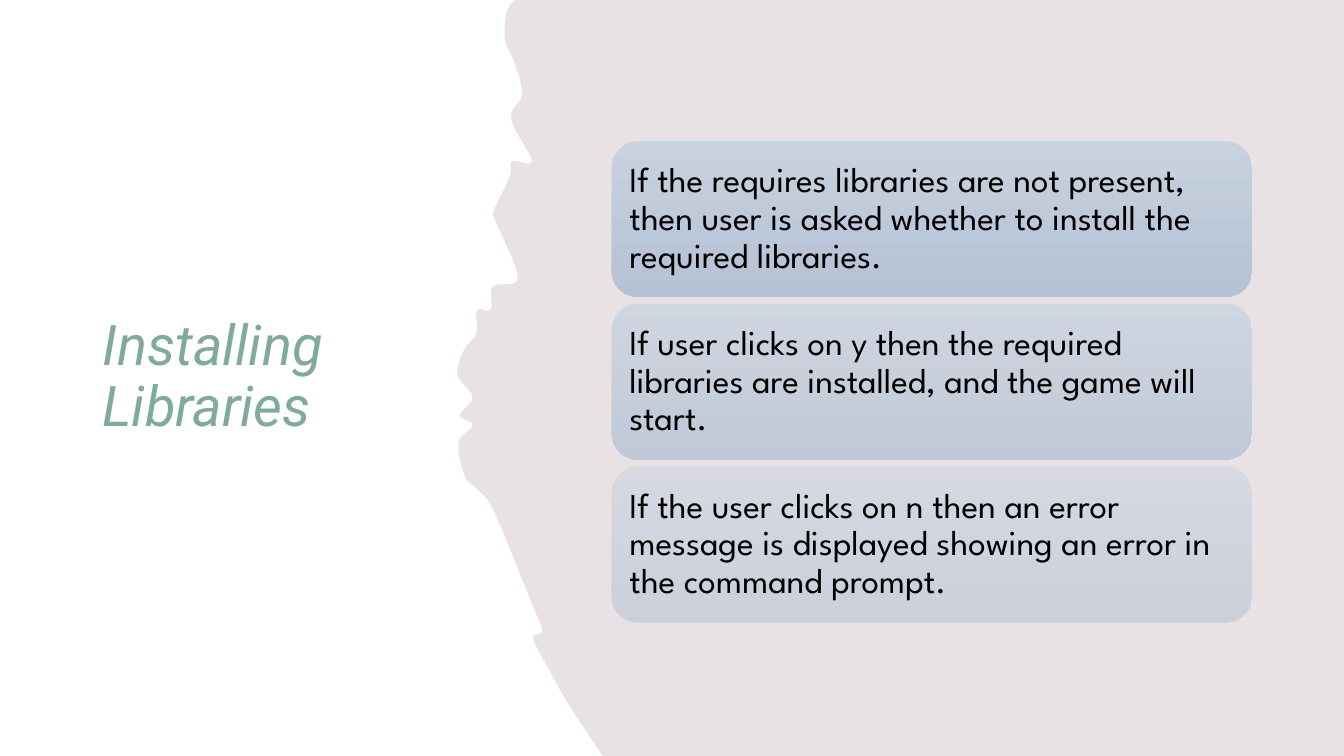
from dataclasses import dataclass

from lxml.etree import SubElement
from pptx import Presentation
from pptx.dml.color import RGBColor
from pptx.enum.shapes import MSO_SHAPE
from pptx.enum.text import MSO_ANCHOR, PP_ALIGN
from pptx.oxml.ns import qn
from pptx.util import Cm, Pt

WIDTH, HEIGHT = Cm(33.87), Cm(19.05)
SAND, SAGE, WHITE, BLACK = "E8E2E4", "80AA9E", "FFFFFF", "000000"

# Torn paper edge from bottom to top, in hundredths of an inch
EDGE = [
    (598, 750), (565, 700), (545, 665), (529, 633), (538, 626), (527, 597),
    (490, 507), (473, 485), (461, 472), (455, 439), (469, 422), (456, 412),
    (469, 394), (454, 372), (460, 348), (473, 330), (473, 308), (487, 307),
    (489, 284), (514, 276), (492, 220), (490, 209), (506, 175), (508, 160),
    (528, 160), (507, 118), (518, 93), (510, 61), (501, 39), (503, 11),
    (511, 0),
]


@dataclass
class Card:
    text: str
    alpha: int  # opacity in percent


CARDS = [
    Card("If the requires libraries are not present, then user is asked "
         "whether to install the required libraries.", 90),
    Card("If user clicks on y then the required libraries are installed, "
         "and the game will start.", 70),
    Card("If the user clicks on n then an error message is displayed "
         "showing an error in the command prompt.", 50),
]


def hue(code: str) -> RGBColor:
    return RGBColor.from_string(code)


def paint(shape, code: str) -> None:
    shape.shadow.inherit = False
    shape.fill.solid()
    shape.fill.fore_color.rgb = hue(code)
    shape.line.fill.background()


def write(shape, text: str, size: int, font: str, code: str,
          slant: bool = False) -> None:
    frame = shape.text_frame
    frame.word_wrap = True
    frame.vertical_anchor = MSO_ANCHOR.MIDDLE
    para = frame.paragraphs[0]
    para.alignment = PP_ALIGN.LEFT
    para.line_spacing = 0.9
    run = para.add_run()
    run.text = text
    run.font.size = Pt(size)
    run.font.name = font
    run.font.italic = slant
    run.font.color.rgb = hue(code)


def blend(a: float, b: float, c: float, d: float, t: float) -> float:
    """Value between b and c on a smooth curve through a, b, c and d."""
    bend = 2 * a - 5 * b + 4 * c - d
    twist = 3 * (b - c) + d - a
    return b + t * (c - a + t * (bend + t * twist)) / 2


def smooth(spots: list, steps: int = 5) -> list:
    ends = [spots[0], *spots, spots[-1]]
    curve = [tuple(blend(*axis, i / steps) for axis in zip(*four))
             for four in zip(ends, ends[1:], ends[2:], ends[3:])
             for i in range(steps)]
    return [(Cm(x * 0.0254), Cm(y * 0.0254)) for x, y in [*curve, spots[-1]]]


def add_edge(shapes) -> None:
    pen = shapes.build_freeform(WIDTH, HEIGHT)
    pen.add_line_segments([*smooth(EDGE), (WIDTH, 0)], close=True)
    paint(pen.convert_to_shape(), SAND)


def add_card(shapes, card: Card, row: int) -> None:
    box = shapes.add_shape(MSO_SHAPE.ROUNDED_RECTANGLE, Cm(15.42),
                           Cm(3.56 + 4.1 * row), Cm(16.13), Cm(3.92))
    box.shadow.inherit = False
    box.line.fill.background()
    box.fill.gradient()
    box.fill.gradient_angle = 270
    for stop, code in zip(box.fill.gradient_stops, ("C6D1DF", "AFBFD4")):
        stop.color.rgb = hue(code)
    for tint in box.element.spPr.iter(qn("a:srgbClr")):
        SubElement(tint, qn("a:alpha")).set("val", str(card.alpha * 1000))
    frame = box.text_frame
    frame.margin_left = frame.margin_right = Cm(0.25)
    frame.margin_top = frame.margin_bottom = Cm(0.25)
    write(box, card.text, 25, "League Spartan", BLACK)


def main() -> None:
    deck = Presentation()
    deck.slide_width, deck.slide_height = WIDTH, HEIGHT
    slide = deck.slides.add_slide(deck.slide_layouts[6])
    shapes = slide.shapes

    # Backdrop
    slide.background.fill.solid()
    slide.background.fill.fore_color.rgb = hue(SAND)
    paint(shapes.add_shape(MSO_SHAPE.RECTANGLE, 0, 0, WIDTH, HEIGHT), WHITE)

    # Title
    title = shapes.add_textbox(Cm(2.34), Cm(1.98), Cm(8.89), Cm(15.09))
    write(title, "Installing Libraries", 40, "Roboto", SAGE, slant=True)

    # Torn panel with its cards
    add_edge(shapes)
    for row, card in enumerate(CARDS):
        add_card(shapes, card, row)

    deck.save("out.pptx")


if __name__ == "__main__":
    main()
